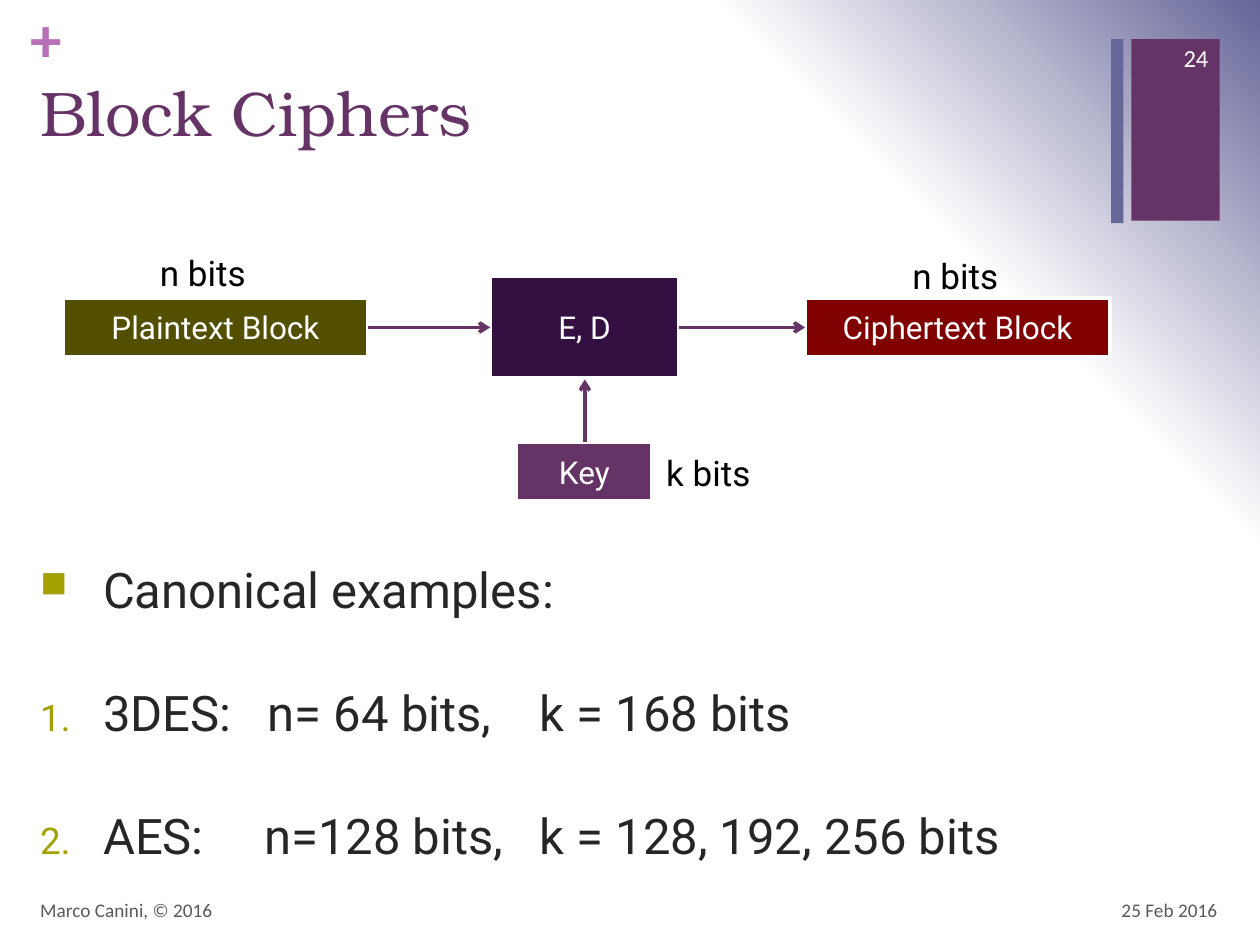
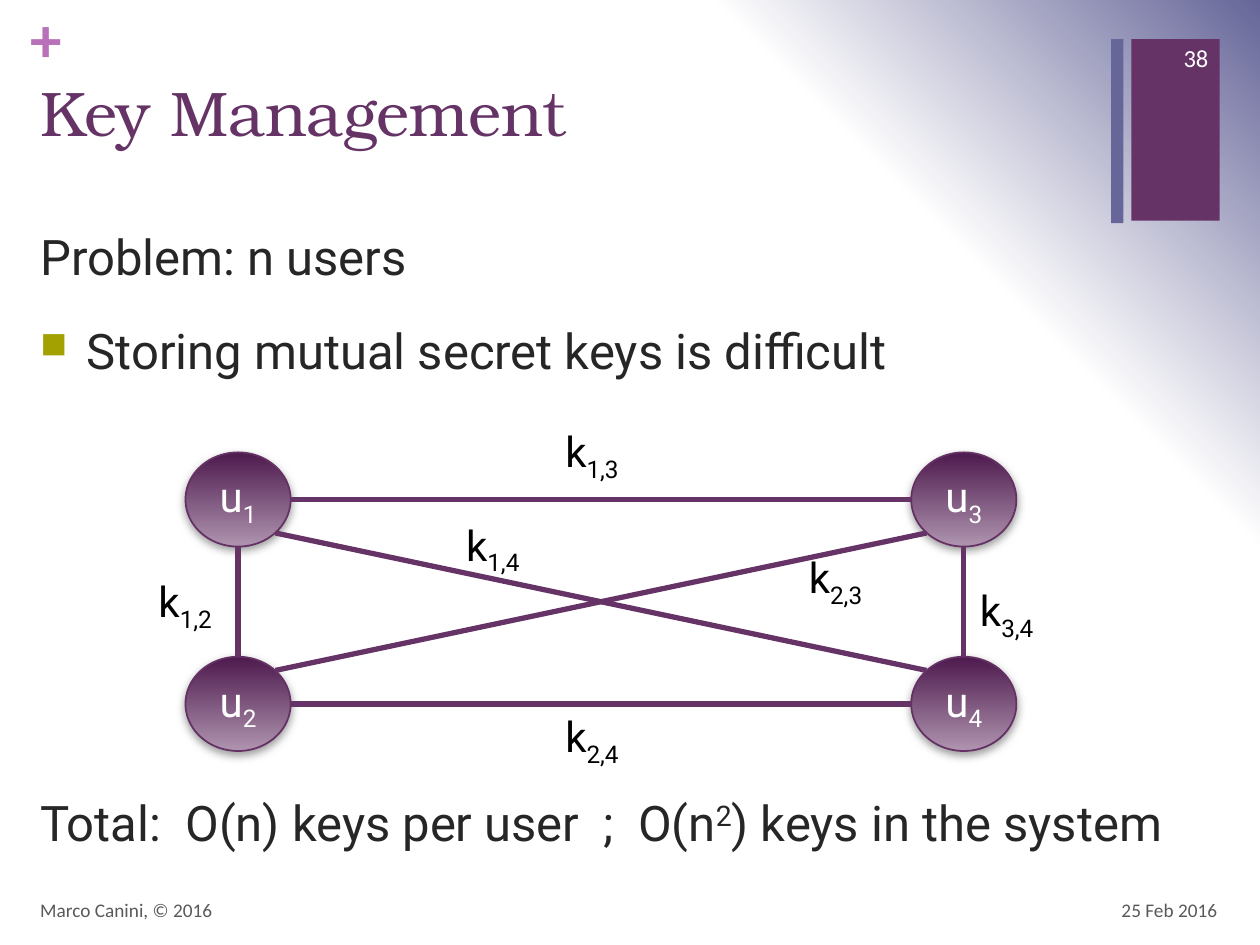
from itertools import combinations

from pptx import Presentation
from pptx.dml.color import RGBColor
from pptx.enum.shapes import MSO_CONNECTOR as Link, MSO_SHAPE as Preset
from pptx.enum.text import MSO_ANCHOR as Anchor, PP_ALIGN as Align
from pptx.oxml import parse_xml
from pptx.oxml.ns import nsdecls, qn
from pptx.oxml.xmlchemy import OxmlElement
from pptx.util import Cm, Pt

COLORS = {
    "purple": "663366", "slate": "666699", "plus": "B870B8", "bullet": "A3A101",
    "body": "262626", "footer": "595959", "white": "FFFFFF", "black": "000000",
    "cipher": "330F42", "plaintext": "525000", "ciphertext": "800000",
    "node_top": "4D1A4D", "node_bottom": "AF94AF", "node_line": "653165",
    "shadow": "808080",
}

# Text styles: size, font, colour, bold
STYLES = {
    "title": (36, "TeX Gyre Bonum", "purple", False),
    "plus": (36, "Calibri", "plus", True),
    "body": (28, "Roboto", "body", False),
    "block": (18, "Roboto", "white", False),
    "bits": (20, "Roboto", "black", False),
    "node": (24, "Roboto", "white", False),
    "edge": (24, "Roboto", "black", False),
    "footer": (11, "Calibri", "footer", False),
    "number": (14, "Calibri", "white", False),
}

SPACE_WIDTH = 693  # one body-size space, in hundredths of a point


def rgb(name):
    return RGBColor.from_string(COLORS[name])


def apply(target, **formats):
    for key, value in formats.items():
        setattr(target, key, value)


def sub(index):
    return index, {"baseline": "-25000"}


def sup(index):
    return index, {"baseline": "30000"}


def gap(spaces):
    """A single space, widened to the width of several."""
    return " ", {"spc": str((spaces - 1) * SPACE_WIDTH)}


# Text
def write(paragraph, pieces, style):
    size, face, color, bold = STYLES[style]
    for piece in pieces:
        words, extras = (piece, {}) if isinstance(piece, str) else piece
        run = paragraph.add_run()
        run.text = words
        apply(run.font, size=Pt(size), name=face, bold=bold)
        run.font.color.rgb = rgb(color)
        for key, value in extras.items():
            run.font._element.set(key, value)


def add_text(slide, box, pieces, style, align=Align.LEFT, **frame_formats):
    frame = slide.shapes.add_textbox(*map(Cm, box)).text_frame
    apply(frame, **{"word_wrap": True, **frame_formats})
    frame.paragraphs[0].alignment = align
    write(frame.paragraphs[0], pieces, style)


def add_bullet(paragraph, kind, indent):
    props = paragraph._p.get_or_add_pPr()
    props.set("marL", str(Cm(indent)))
    props.set("indent", str(-Cm(indent)))
    color = OxmlElement("a:buClr")
    color.append(OxmlElement("a:srgbClr"))
    color[0].set("val", COLORS["bullet"])
    size = OxmlElement("a:buSzPct")
    size.set("val", "75000")
    if kind == "number":
        mark = OxmlElement("a:buAutoNum")
        mark.set("type", "arabicPeriod")
    else:
        mark = OxmlElement("a:buChar")
        mark.set("char", "■")
    for part in (color, size, mark):
        props.append(part)


def add_body(slide, top, height, indent, rows):
    """Each row holds its pieces, its bullet kind and its paragraph formats."""
    frame = slide.shapes.add_textbox(*map(Cm, (0.56, top, 24.23, height))).text_frame
    frame.word_wrap = True
    for order, (pieces, bullet, formats) in enumerate(rows):
        paragraph = frame.add_paragraph() if order else frame.paragraphs[0]
        apply(paragraph, **{"space_before": Pt(20), **formats})
        if bullet:
            add_bullet(paragraph, bullet, indent)
        write(paragraph, pieces, "body")


# Shapes and lines
def add_form(slide, preset, box, fill=None, line=None, width=1):
    form = slide.shapes.add_shape(preset, *map(Cm, box))
    form.shadow.inherit = False
    if fill:
        form.fill.solid()
        form.fill.fore_color.rgb = rgb(fill)
    if line:
        form.line.color.rgb = rgb(line)
        form.line.width = Pt(width)
    else:
        form.line.fill.background()
    return form


def label(form, pieces, style):
    form.text_frame.vertical_anchor = Anchor.MIDDLE
    paragraph = form.text_frame.paragraphs[0]
    paragraph.alignment = Align.CENTER
    write(paragraph, pieces, style)


def add_block(slide, box, name, fill):
    block = add_form(slide, Preset.RECTANGLE, box, fill, "white", 2.25)
    label(block, [name], "block")


def add_line(slide, start, end, width, arrow=False):
    line = slide.shapes.add_connector(Link.STRAIGHT, *map(Cm, (*start, *end)))
    line.line.color.rgb = rgb("purple")
    line.line.width = Pt(width)
    props = line._element.spPr
    if arrow:
        head = OxmlElement("a:tailEnd")
        head.set("type", "arrow")
        props.find(qn("a:ln")).append(head)
    props.append(OxmlElement("a:effectLst"))


def add_user(slide, center, radii, number):
    (x, y), (rx, ry) = center, radii
    user = add_form(slide, Preset.OVAL, (x - rx, y - ry, 2 * rx, 2 * ry), line="node_line")
    user.fill.gradient()
    user.fill.gradient_angle = 270
    for stop, (place, color) in zip(user.fill.gradient_stops,
                                    ((0, "node_top"), (1, "node_bottom"))):
        stop.position = place
        stop.color.rgb = rgb(color)
    user._element.spPr.find(qn("a:effectLst")).append(parse_xml(
        f'<a:outerShdw {nsdecls("a")} blurRad="{Pt(5)}" dist="{Pt(2)}" dir="5400000" '
        f'rotWithShape="0"><a:srgbClr val="{COLORS["shadow"]}"><a:alpha val="75000"/>'
        '</a:srgbClr></a:outerShdw>'))
    label(user, ["u", sub(str(number))], "node")


def add_key_line(slide, first, second, radii):
    """Join two ellipses at the rim points that face each other."""
    signs = [(b > a) - (b < a) for a, b in zip(first, second)]
    reach = 0.71 if all(signs) else 1
    shift = [sign * radius * reach for sign, radius in zip(signs, radii)]
    start = [place + move for place, move in zip(first, shift)]
    end = [place - move for place, move in zip(second, shift)]
    add_line(slide, start, end, 3)


# Shared slide frame
def paint_background(slide):
    slide.background.fill.gradient()
    plain = next(slide._element.iter(qn("a:gradFill")))
    stops = "".join(
        f'<a:gs pos="{place}000"><a:srgbClr val="{COLORS[color]}"/></a:gs>'
        for place, color in ((0, "white"), (75, "white"), (100, "slate")))
    plain.getparent().replace(plain, parse_xml(
        f'<a:gradFill {nsdecls("a")} rotWithShape="1"><a:gsLst>{stops}</a:gsLst>'
        '<a:path path="circle"><a:fillToRect t="100000" r="100000"/></a:path>'
        '</a:gradFill>'))


def start_slide(deck, title, number):
    slide = deck.slides.add_slide(deck.slide_layouts[6])
    paint_background(slide)
    add_form(slide, Preset.RECTANGLE, (22.81, 0.79, 1.78, 3.66), "purple")
    add_form(slide, Preset.RECTANGLE, (22.4, 0.79, 0.25, 3.71), "slate")
    no_margins = {f"margin_{side}": 0 for side in ("left", "top", "right", "bottom")}
    add_text(slide, (0.61, 0, 0.74, 1.55), ["+"], "plus", **no_margins)
    add_text(slide, (0.56, 1.35, 21.82, 3.1), [title], "title")
    middle = {"vertical_anchor": Anchor.MIDDLE}
    add_text(slide, (18.87, 17.83, 5.92, 1.02), ["25 Feb 2016"], "footer",
             Align.RIGHT, **middle)
    add_text(slide, (0.56, 17.83, 17.02, 1.02), ["Marco Canini, © 2016"], "footer",
             **middle)
    add_text(slide, (23.06, 0.66, 1.55, 1.02), [str(number)], "number",
             Align.RIGHT, **middle)
    return slide


# Slides
def block_ciphers(deck):
    slide = start_slide(deck, "Block Ciphers", 24)
    spaced = {"line_spacing": 1.5}
    add_body(slide, 11.15, 6.68, 1.27, [
        (["Canonical examples:"], "square", {}),
        (["3DES:", gap(3), "n= 64 bits,", gap(4), "k = 168 bits"], "number", spaced),
        (["AES:", gap(5), "n=128 bits,", gap(3), "k = 128, 192, 256 bits"],
         "number", spaced),
    ])
    for box, name, fill in (
            ((9.88, 5.56, 3.81, 2.06), "E, D", "cipher"),
            ((16.23, 6, 6.15, 1.19), "Ciphertext Block", "ciphertext"),
            ((1.27, 6, 6.15, 1.19), "Plaintext Block", "plaintext"),
            ((10.41, 8.92, 2.74, 1.19), "Key", "purple")):
        add_block(slide, box, name, fill)
    for left, top, bits in ((18.14, 5, "n bits"), (2.97, 4.95, "n bits"),
                            (13.16, 8.97, "k bits")):
        add_text(slide, (left, top, 2.24, 1.12), [bits], "bits", Align.CENTER,
                 word_wrap=False)
    for start, end in (((7.42, 6.6), (9.88, 6.6)), ((13.69, 6.6), (16.23, 6.6)),
                       ((11.79, 8.92), (11.79, 7.65))):
        add_line(slide, start, end, 2, arrow=True)


def key_management(deck):
    slide = start_slide(deck, "Key Management", 38)
    add_body(slide, 4.45, 13.39, 0.94, [
        (["Problem: n users"], None, {}),
        (["Storing mutual secret keys is difficult"], "square", {}),
        (["Total:", gap(2), "O(n) keys per user", gap(2), ";", gap(2), "O(n",
          sup("2"), ") keys in the system"], None, {"space_before": Pt(236)}),
    ])
    radii = (1.06, 0.95)
    centers = [(x, y) for x in (4.8, 19.43) for y in (10.07, 14.19)]
    for number, center in enumerate(centers, 1):
        add_user(slide, center, radii, number)
    for first, second in combinations(centers, 2):
        add_key_line(slide, first, second, radii)
    for left, top, pair in (
            (11.07, 8.46, "1,3"), (2.87, 11.48, "1,2"), (9.07, 10.34, "1,4"),
            (11.07, 14.2, "2,4"), (19.43, 11.66, "3,4"), (15.98, 11, "2,3")):
        add_text(slide, (left, top, 1.73, 1.27), ["k", sub(pair)], "edge",
                 Align.CENTER, word_wrap=False)


def main():
    deck = Presentation()
    apply(deck, slide_width=Cm(25.4), slide_height=Cm(19.05))
    block_ciphers(deck)
    key_management(deck)
    deck.save("out.pptx")


if __name__ == "__main__":
    main()
